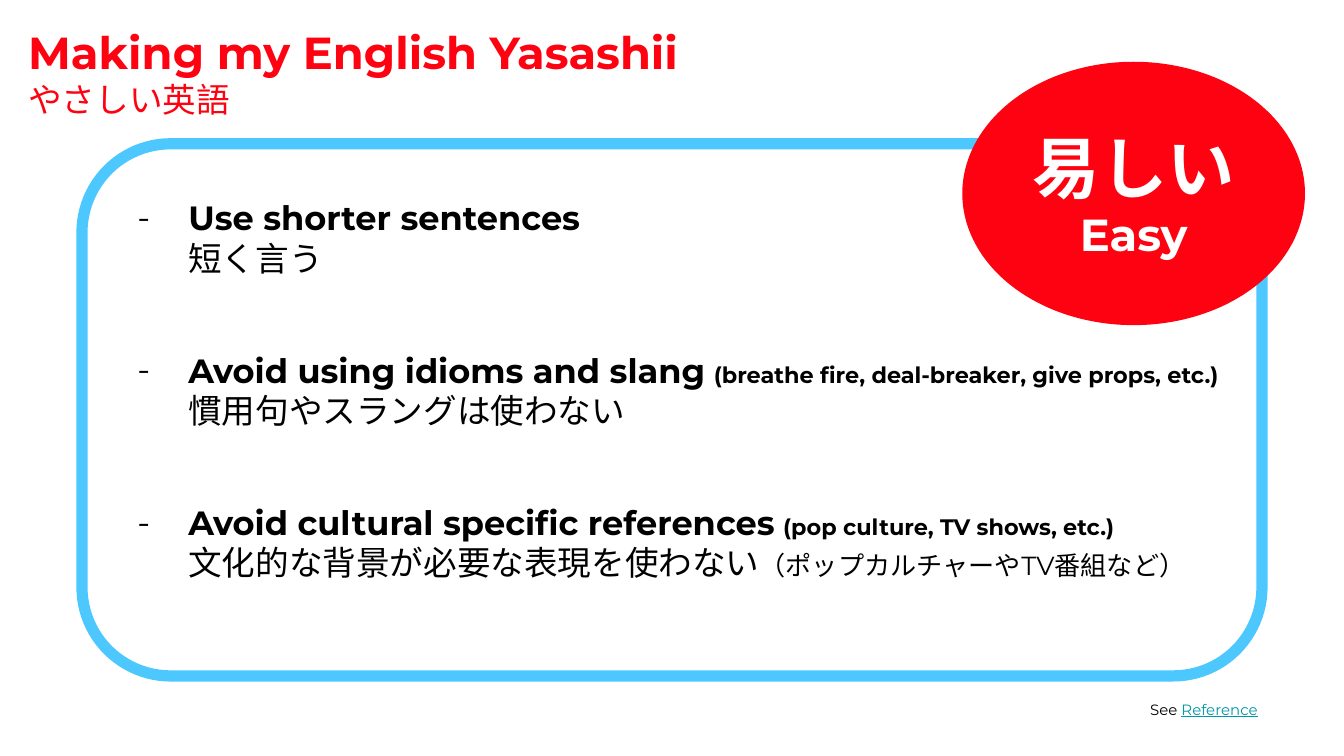
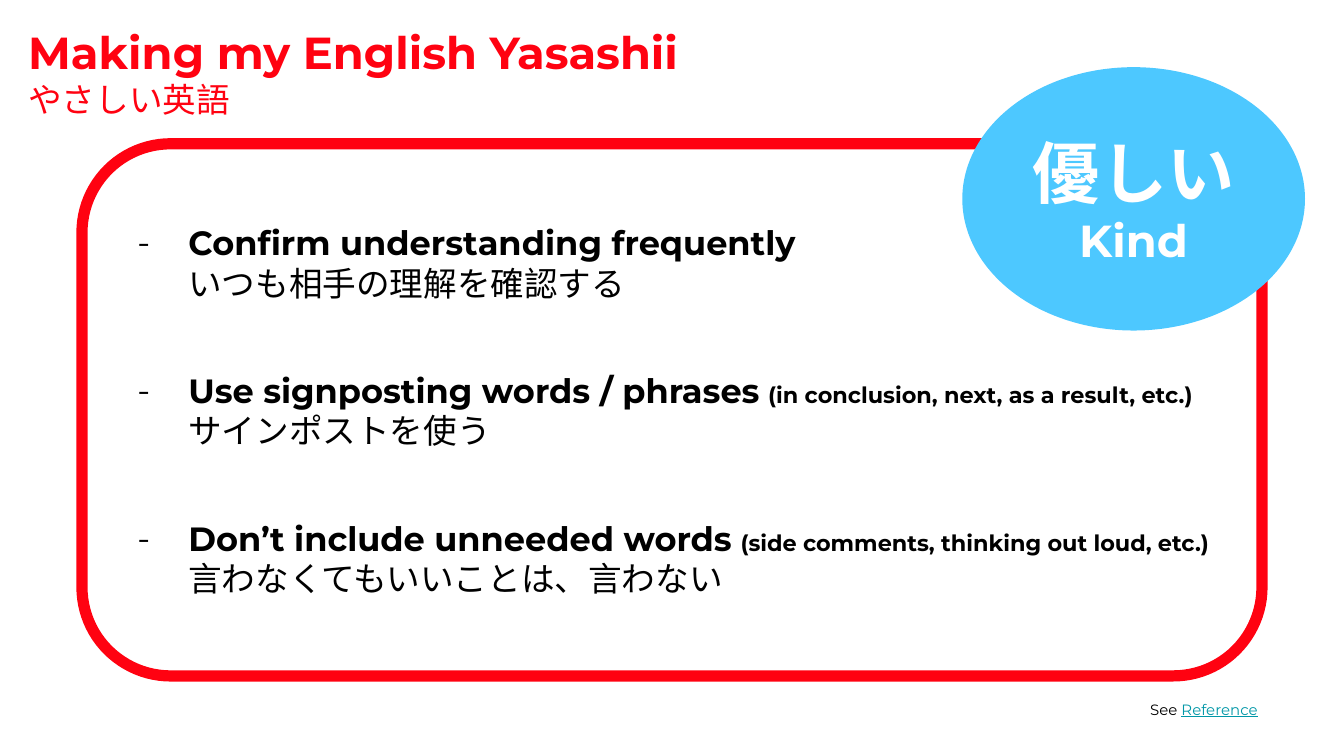
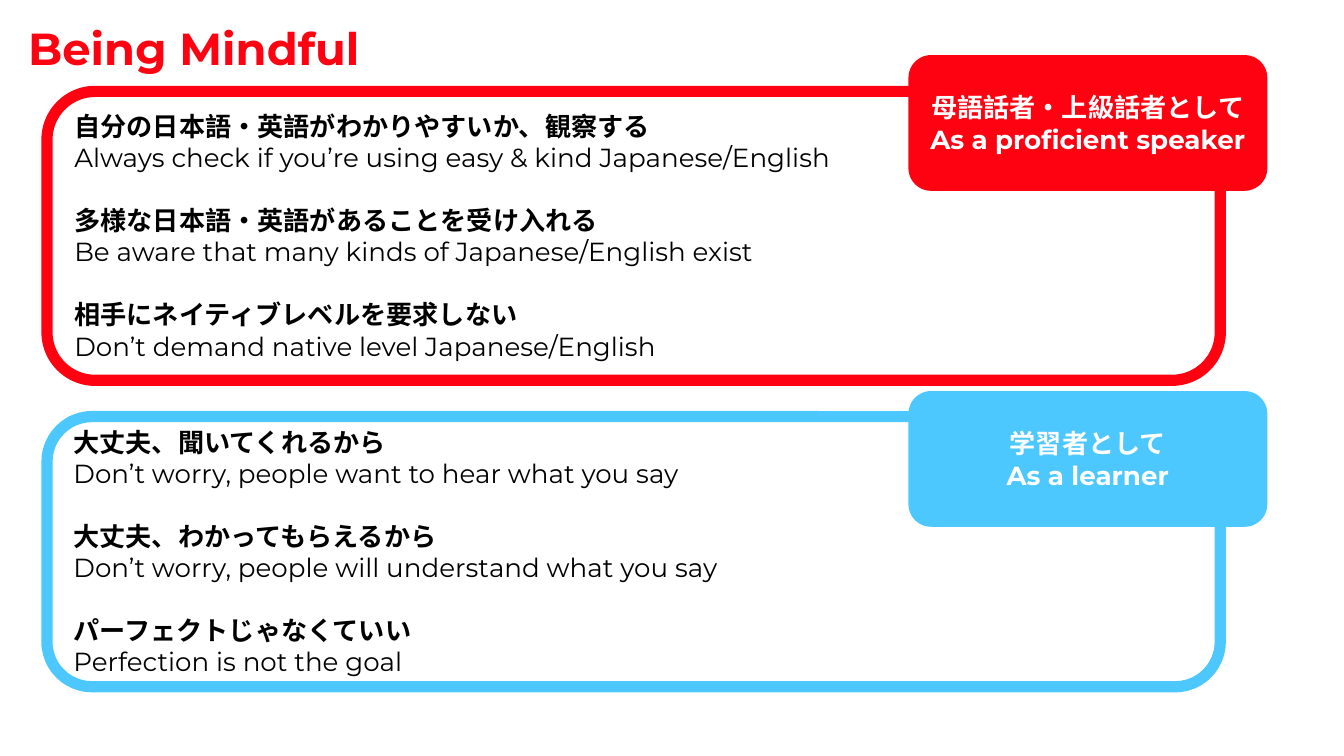
from lxml.etree import SubElement
from pptx import Presentation
from pptx.dml.color import RGBColor
from pptx.enum.shapes import MSO_SHAPE
from pptx.enum.text import MSO_ANCHOR, MSO_AUTO_SIZE, PP_ALIGN
from pptx.oxml.ns import qn
from pptx.util import Inches, Pt

# Shared look
FONT = "Montserrat"
RED, BLUE, TEAL = "FF0211", "4DC8FF", "0097A7"
BLACK, WHITE = "000000", "FFFFFF"
CELL = Inches(10) // 100  # square grid: 100 columns, 56.25 rows
PAD = 1
LEAD = 1.2  # line height as a share of the text size


def cells(n):
    return int(n * CELL)


def area(left, top, width, height):
    return [cells(n) for n in (left, top, width, height)]


def tint(code):
    return RGBColor.from_string(code)


# Text
def set_frame(frame, anchor, top=PAD):
    frame.word_wrap = True
    frame.auto_size = MSO_AUTO_SIZE.NONE
    frame.vertical_anchor = anchor
    frame.margin_left = frame.margin_right = frame.margin_bottom = cells(PAD)
    frame.margin_top = cells(top)


def add_run(para, text, size, color=BLACK, bold=False, line=None):
    run = para.add_run()
    run.text = text
    font = run.font
    font.name, font.size, font.bold = FONT, Pt(size), bold
    font.underline = line
    font.color.rgb = tint(color)
    SubElement(font._element, qn("a:ea"), typeface=FONT)


def add_para(frame, runs, align=PP_ALIGN.LEFT, gap=0):
    """Each run is (text, size, color, bold, underline), the last three optional."""
    para = frame.paragraphs[0]
    if para.runs:
        para = frame.add_paragraph()
    para.alignment = align
    para.space_before = Pt(gap)
    for run in runs:
        add_run(para, *run)
    return para


def set_dash(para, dash):
    props = para._p.get_or_add_pPr()
    props.set("marL", str(cells(5)))
    props.set("indent", str(cells(-3.8 if dash else 0)))
    if dash:
        color = SubElement(props, qn("a:buClr"))
        SubElement(color, qn("a:srgbClr"), val=BLACK)
        SubElement(props, qn("a:buFont"), typeface=FONT)
        SubElement(props, qn("a:buChar"), char="-")
        SubElement(para._p, qn("a:endParaRPr"), sz="1800", b="1")
    else:
        SubElement(props, qn("a:buNone"))


# Elements
def add_title(slide, top, lines):
    title = slide.shapes.title
    title.left, title.top, title.width, title.height = area(1.1, top, 93.2, 6.3)
    set_frame(title.text_frame, MSO_ANCHOR.TOP)
    for text, size, bold in lines:
        add_para(title.text_frame, [(text, size, RED, bold)])


def add_form(slide, kind, box, fill, edge=None):
    form = slide.shapes.add_shape(kind, *area(*box))
    form.shadow.inherit = False
    form.fill.solid()
    form.fill.fore_color.rgb = tint(fill)
    if edge:
        form.line.color.rgb = tint(edge)
        form.line.width = Pt(6)
    else:
        form.line.fill.background()
    set_frame(form.text_frame, MSO_ANCHOR.MIDDLE)
    return form


def add_panel(slide, box, edge):
    return add_form(slide, MSO_SHAPE.ROUNDED_RECTANGLE, box, WHITE, edge)


def add_badge(slide, kind, box, fill, lines):
    badge = add_form(slide, kind, box, fill)
    for text, size in lines:
        add_para(badge.text_frame, [(text, size, WHITE, True)], PP_ALIGN.CENTER)


def add_tips(panel, tips, top, gap):
    """Each tip is (English, examples, Japanese, Japanese examples)."""
    frame = panel.text_frame
    set_frame(frame, MSO_ANCHOR.TOP, top)
    for row, (head, note, local, aside) in enumerate(tips):
        runs = [(head, 18, BLACK, True)]
        if note:
            runs += [(" ", 16, BLACK, True), (note, 12, BLACK, True)]
        set_dash(add_para(frame, runs, gap=gap if row else 0), True)
        runs = [(local, 18)]
        if aside:
            runs.append((aside, 14))
        set_dash(add_para(frame, runs), False)


def add_pairs(panel, pairs):
    for row, (local, text) in enumerate(pairs):
        gap = 14 * LEAD if row else 0
        add_para(panel.text_frame, [(local, 14, BLACK, True)], gap=gap)
        add_para(panel.text_frame, [(text, 14)])


def add_source(slide):
    box = slide.shapes.add_textbox(*area(84.6, 51.1, 15, 3.2))
    set_frame(box.text_frame, MSO_ANCHOR.TOP)
    add_para(box.text_frame,
             [("See ", 8), ("Reference", 8, TEAL, False, True)])


# Slides
def tip_slide(slide, edge, fill, rise, words, tips, top, gap):
    add_title(slide, 0.85, [("Making my English Yasashii", 24, True),
                            ("やさしい英語", 18, False)])
    panel = add_panel(slide, (6.1, 10.7, 87.8, 39.6), edge)
    add_tips(panel, tips, top, gap)
    add_badge(slide, MSO_SHAPE.OVAL, (71.6, rise, 25.5, 19.6), fill,
              zip(words, (36, 24)))
    add_source(slide)


def mind_slide(slide, groups):
    add_title(slide, 0.55, [("Being Mindful", 24, True)])
    for color, top, height, rise, words, pairs in groups:
        panel = add_panel(slide, (3.5, top, 87.3, height), color)
        add_pairs(panel, pairs)
        add_badge(slide, MSO_SHAPE.ROUNDED_RECTANGLE,
                  (67.6, rise, 26.7, 10.1), color,
                  [(word, 14) for word in words])


EASY = [
    ("Use shorter sentences", "", "短く言う", ""),
    ("Avoid using idioms and slang",
     "(breathe fire, deal-breaker, give props, etc.)",
     "慣用句やスラングは使わない", ""),
    ("Avoid cultural specific references", "(pop culture, TV shows, etc.)",
     "文化的な背景が必要な表現を使わない",
     "（ポップカルチャーやTV番組など）"),
]
KIND = [
    ("Confirm understanding frequently", "", "いつも相手の理解を確認する", ""),
    ("Use signposting words / phrases",
     "(in conclusion, next, as a result, etc.)", "サインポストを使う", ""),
    ("Don’t include unneeded words",
     "(side comments, thinking out loud, etc.)",
     "言わなくてもいいことは、言わない", ""),
]
SPEAK = [
    ("自分の日本語・英語がわかりやすいか、観察する",
     "Always check if you’re using easy & kind Japanese/English"),
    ("多様な日本語・英語があることを受け入れる",
     "Be aware that many kinds of Japanese/English exist"),
    ("相手にネイティブレベルを要求しない",
     "Don’t demand native level Japanese/English"),
]
LEARN = [
    ("大丈夫、聞いてくれるから",
     "Don’t worry, people want to hear what you say"),
    ("大丈夫、わかってもらえるから",
     "Don’t worry, people will understand what you say"),
    ("パーフェクトじゃなくていい", "Perfection is not the goal"),
]


def main():
    deck = Presentation()
    deck.slide_width, deck.slide_height = Inches(10), CELL * 225 // 4
    easy, kind, mind = [deck.slides.add_slide(deck.slide_layouts[5])
                        for _ in range(3)]
    tip_slide(easy, BLUE, RED, 4.6, ("易しい", "Easy"), EASY,
              2.05, 32 * LEAD)
    tip_slide(kind, RED, BLUE, 5, ("優しい", "Kind"), KIND,
              3.9, 30 * LEAD)
    mind_slide(mind, [
        (BLUE, 31, 20.1, 29.1, ("学習者として", "As a learner"), LEARN),
        (RED, 6.8, 21.5, 4.1,
         ("母語話者・上級話者として", "As a proficient speaker"), SPEAK),
    ])
    deck.save("out.pptx")


if __name__ == "__main__":
    main()
